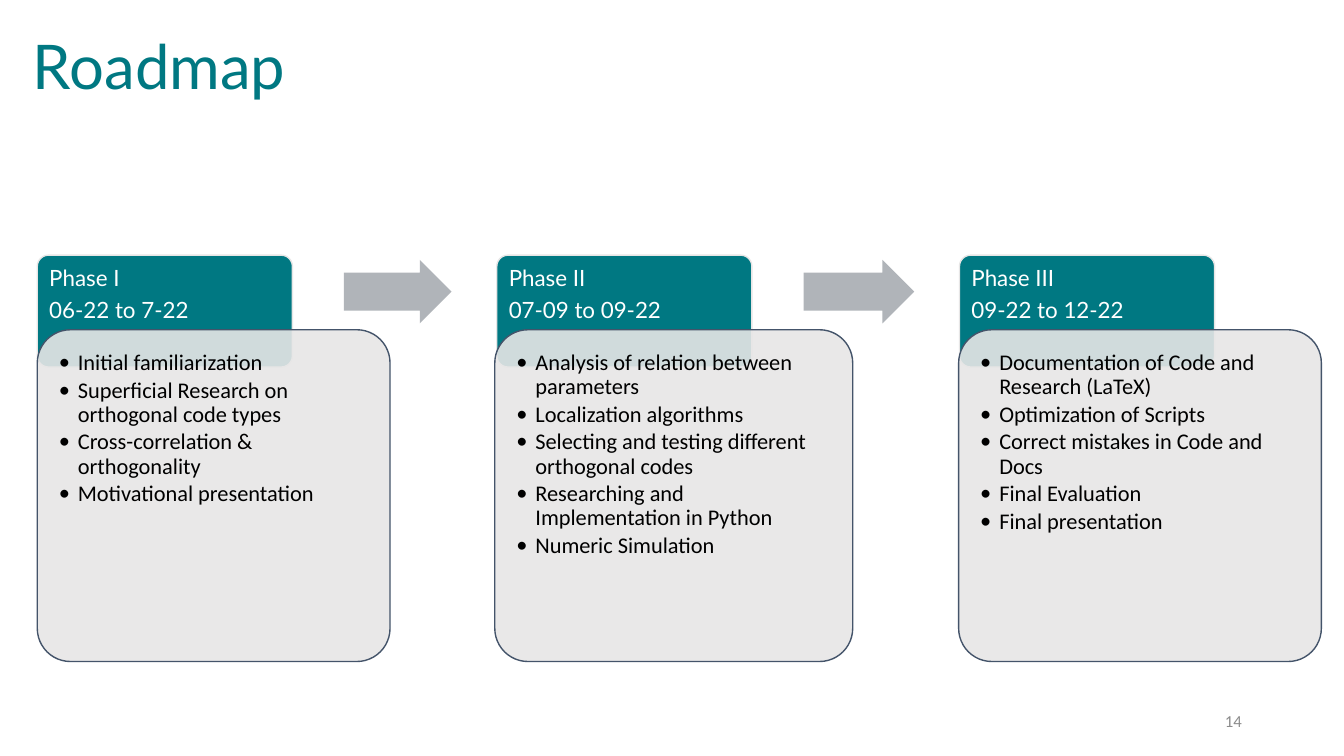
from pptx import Presentation
from pptx.dml.color import RGBColor
from pptx.enum.shapes import MSO_SHAPE
from pptx.enum.text import MSO_ANCHOR, PP_ALIGN
from pptx.oxml.ns import qn
from pptx.util import Cm, Pt
from lxml import etree

ROUND, ARROW = MSO_SHAPE.ROUNDED_RECTANGLE, MSO_SHAPE.RIGHT_ARROW
TOP, MIDDLE = MSO_ANCHOR.TOP, MSO_ANCHOR.MIDDLE
LEFT, RIGHT = PP_ALIGN.LEFT, PP_ALIGN.RIGHT

TEAL = RGBColor(0x00, 0x78, 0x82)
PALE = RGBColor(0xE7, 0xE6, 0xE6)
SLATE = RGBColor(0x44, 0x54, 0x6A)
STEEL = RGBColor(0xB0, 0xB4, 0xB9)
GRAY = RGBColor(0x8C, 0x8C, 0x8C)
WHITE = RGBColor(0xFF, 0xFF, 0xFF)
BLACK = RGBColor(0x00, 0x00, 0x00)

TITLE = "Roadmap"
PAGE = "14"
PHASES = [
    {"head": ["Phase I", "06-22 to 7-22"], "tab": 0.94, "card": (0.94, 8.89),
     "tasks": ["Initial familiarization",
               "Superficial Research on orthogonal code types",
               "Cross-correlation & orthogonality",
               "Motivational presentation"]},
    {"head": ["Phase II", "07-09 to 09-22"], "tab": 12.52, "card": (12.47, 9.02),
     "tasks": ["Analysis of relation between parameters",
               "Localization algorithms",
               "Selecting and testing different orthogonal codes",
               "Researching and Implementation in Python",
               "Numeric Simulation"]},
    {"head": ["Phase III", "09-22 to 12-22"], "tab": 24.18, "card": (24.16, 9.14),
     "tasks": ["Documentation of Code and Research (LaTeX)",
               "Optimization of Scripts",
               "Correct mistakes in Code and Docs",
               "Final Evaluation",
               "Final presentation"]},
]

TAB_TOP, TAB_W, TAB_H = 6.43, 6.43, 2.82
CARD_TOP, CARD_H = 8.31, 8.36
ARROW_TOP, ARROW_H = 6.55, 1.6
ARROW_STEP, ARROW_GAP = 7.73, 1.14
INDENT = Cm(0.48)


def add_part(slide, kind, box, fill, line=None, adjust=(0.1,)):
    part = slide.shapes.add_shape(kind, *map(Cm, box))
    part.shadow.inherit = False
    part.fill.solid()
    part.fill.fore_color.rgb = fill
    if line is None:
        part.line.fill.background()
    else:
        part.line.color.rgb = line
        part.line.width = Pt(1)
    for i, value in enumerate(adjust):
        part.adjustments[i] = value
    return part


def write(shape, lines, font, size, color, inset=None, anchor=MIDDLE,
          align=LEFT, after=0, lead=0.9, bullet=False):
    frame = shape.text_frame
    frame.word_wrap = True
    frame.vertical_anchor = anchor
    if inset is not None:
        frame.margin_left = frame.margin_right = Cm(inset)
        frame.margin_top = frame.margin_bottom = Cm(inset)
    for i, line in enumerate(lines):
        para = frame.paragraphs[0] if i == 0 else frame.add_paragraph()
        para.alignment = align
        para.line_spacing = lead
        para.space_after = Pt(after)
        if bullet:
            props = para._p.get_or_add_pPr()
            props.set("marL", str(INDENT))
            props.set("indent", str(-INDENT))
            etree.SubElement(props, qn("a:buFont")).set("typeface", font)
            etree.SubElement(props, qn("a:buChar")).set("char", "•")
        run = para.add_run()
        run.text = line
        run.font.name = font
        run.font.size = Pt(size)
        run.font.color.rgb = color


def add_label(slide, box, text, *style, **more):
    write(slide.shapes.add_textbox(*map(Cm, box)), [text], *style, **more)


def add_phase(slide, phase):
    tab = add_part(slide, ROUND, (phase["tab"], TAB_TOP, TAB_W, TAB_H), TEAL, PALE)
    write(tab, phase["head"], "Lato", 16, WHITE, 0.22, TOP, after=5.5)
    left, width = phase["card"]
    card = add_part(slide, ROUND, (left, CARD_TOP, width, CARD_H), PALE, SLATE)
    tint = card.fill._xPr.find(qn("a:solidFill"))[0]
    etree.SubElement(tint, qn("a:alpha")).set("val", "90000")
    write(card, phase["tasks"], "Calibri", 16, BLACK, 0.3, TOP, after=2.4, bullet=True)


def main():
    deck = Presentation()
    deck.slide_width, deck.slide_height = Cm(33.87), Cm(19.05)
    slide = deck.slides.add_slide(deck.slide_layouts[6])
    add_label(slide, (0.58, 0.28, 26.67, 2.95), TITLE, "Lato", 44, TEAL)
    for phase in PHASES:
        add_phase(slide, phase)
    for phase, after in zip(PHASES, PHASES[1:]):
        left = phase["tab"] + ARROW_STEP
        width = after["tab"] - ARROW_GAP - left
        add_part(slide, ARROW, (left, ARROW_TOP, width, ARROW_H), STEEL,
                 adjust=(0.6, 0.5))
    add_label(slide, (23.93, 17.65, 7.62, 1.02), PAGE, "Calibri", 12, GRAY,
              align=RIGHT, lead=1.0)
    deck.save("out.pptx")


if __name__ == "__main__":
    main()
